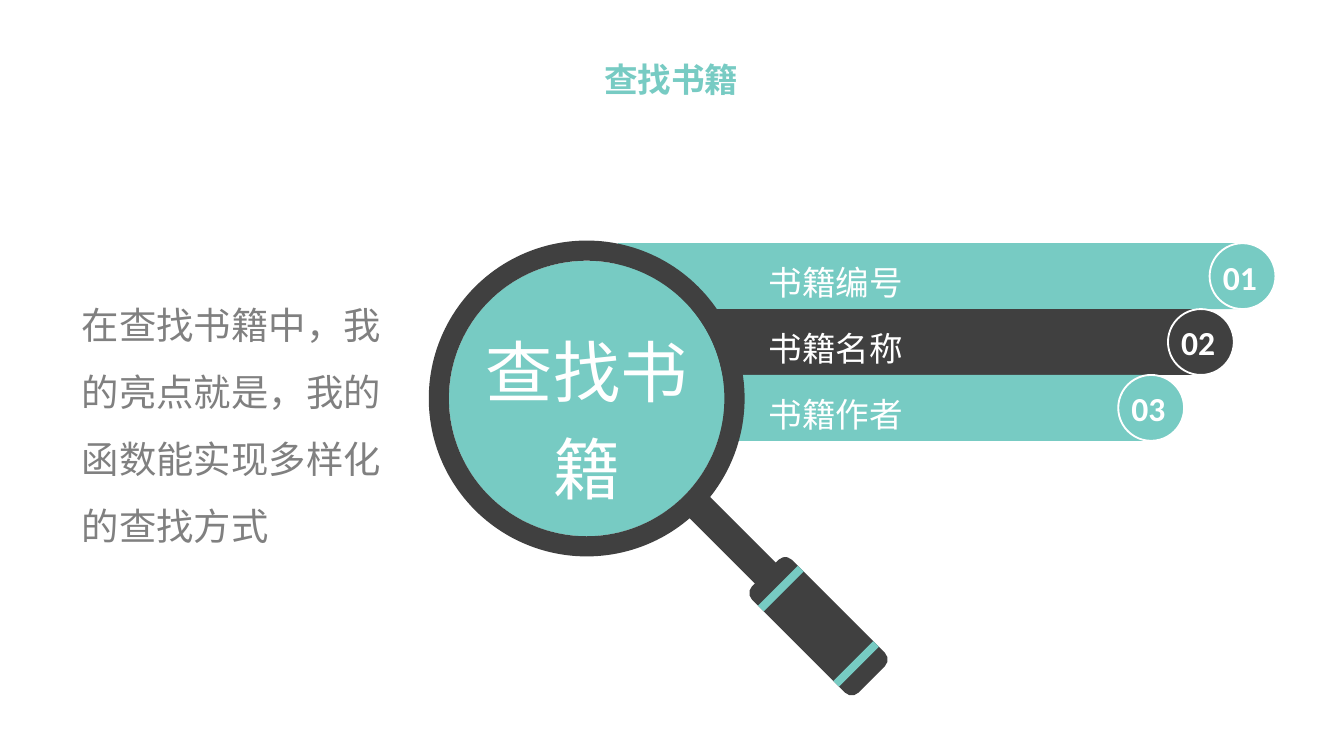
"""Build a slide with a magnifying glass and three numbered ways to find a book."""
from pptx import Presentation, util as u
from pptx.dml.color import RGBColor
from pptx.enum import shapes, text

TEAL = RGBColor(0x77, 0xCB, 0xC3)
DARK = RGBColor(0x40, 0x40, 0x40)
GRAY = RGBColor(0x80, 0x80, 0x80)
WHITE = RGBColor(0xFF, 0xFF, 0xFF)
CJK = "Noto Sans CJK SC"

TITLE = "查找书籍"
BODY = "在查找书籍中，我的亮点就是，我的函数能实现多样化的查找方式"
ROWS = [
    ("01", "书籍编号", TEAL, 9.0),
    ("02", "书籍名称", DARK, 8.69),
    ("03", "书籍作者", TEAL, 8.32),
]
ROW_TOP, ROW_HEIGHT = 1.81, 0.49
BAR_WIDTH, BAR_OVERLAP = 4.65, 0.25
LABEL_LEFT = 5.72
LENS_LEFT, LENS_TOP = 3.19, 1.79
RING_SIZE, GLASS_SIZE = 2.35, 2.05
LENS_X, LENS_Y = LENS_LEFT + RING_SIZE / 2, LENS_TOP + RING_SIZE / 2
HANDLE_X, HANDLE_Y = 4.38, 2.95
SHAFT, GRIP, BAND = (0.76, 0.22), (1.12, 0.42), (0.06, 0.42)
HANDLE = [
    (1.07, SHAFT, DARK, None),
    (1.71, GRIP, DARK, 0.17),
    (1.43, BAND, TEAL, None),
    (1.99, BAND, TEAL, None),
]

presentation = Presentation()
presentation.slide_width = u.Inches(10)
presentation.slide_height = presentation.slide_width * 9 // 16
slide = presentation.slides.add_slide(presentation.slide_layouts[6])


def add_shape(kind, left, top, width, height, color, outline=False):
    shape = slide.shapes.add_shape(kind, *map(u.Inches, (left, top, width, height)))
    shape.shadow.inherit = False
    shape.fill.solid()
    shape.fill.fore_color.rgb = color
    if outline:
        shape.line.color.rgb = WHITE
        shape.line.width = u.Pt(1)
    else:
        shape.line.fill.background()
    return shape


def add_centered(kind, x, y, width, height, color):
    return add_shape(kind, x - width / 2, y - height / 2, width, height, color)


def add_text(words, left, top, width, height, size, color, font="Calibri",
             bold=False, centered=False, spacing=None, inset=True, wrap=True):
    box = slide.shapes.add_textbox(*map(u.Inches, (left, top, width, height)))
    frame = box.text_frame
    frame.word_wrap = wrap
    if not inset:
        frame.margin_left = frame.margin_right = 0
        frame.margin_top = frame.margin_bottom = 0
    paragraph = frame.paragraphs[0]
    paragraph.text = words
    if centered:
        paragraph.alignment = text.PP_ALIGN.CENTER
    if spacing:
        paragraph.line_spacing = spacing
    paragraph.font.name, paragraph.font.size = font, u.Pt(size)
    paragraph.font.bold = bold
    paragraph.font.color.rgb = color


KIND = shapes.MSO_SHAPE
for index, (number, label, color, badge_left) in enumerate(ROWS):
    top = ROW_TOP + index * ROW_HEIGHT
    bar_left = badge_left + BAR_OVERLAP - BAR_WIDTH
    add_shape(KIND.RECTANGLE, bar_left, top, BAR_WIDTH, ROW_HEIGHT, color)
    add_shape(KIND.OVAL, badge_left, top, ROW_HEIGHT, ROW_HEIGHT, color, outline=True)
    add_text(label, LABEL_LEFT, top + 0.08, badge_left - 0.07 - LABEL_LEFT, 0.36,
             18, WHITE, spacing=1.2, inset=False)
    add_text(number, badge_left, top + 0.05, 0.48, 0.4, 18, WHITE, bold=True, wrap=False)

add_centered(KIND.OVAL, LENS_X, LENS_Y, GLASS_SIZE, GLASS_SIZE, TEAL)
ring = add_centered(KIND.DONUT, LENS_X, LENS_Y, RING_SIZE, RING_SIZE, DARK)
ring.adjustments[0] = (RING_SIZE - GLASS_SIZE) / 2 / RING_SIZE

for offset, (length, thickness), color, rounding in HANDLE:
    kind = KIND.ROUNDED_RECTANGLE if rounding else KIND.RECTANGLE
    part = add_centered(kind, HANDLE_X + offset, HANDLE_Y + offset, length, thickness, color)
    part.rotation = 45
    if rounding:
        part.adjustments[0] = rounding

add_text(TITLE, 3.57, 2.34, 1.59, 1.45, 36, WHITE, centered=True, spacing=1.2, inset=False)
add_text(TITLE, 3.78, 0.39, 2.43, 0.4, 18, TEAL, font=CJK, bold=True, centered=True)
add_text(BODY, 0.51, 2.03, 2.49, 2.12, 20, GRAY, font=CJK, spacing=1.5)

presentation.save("out.pptx")
